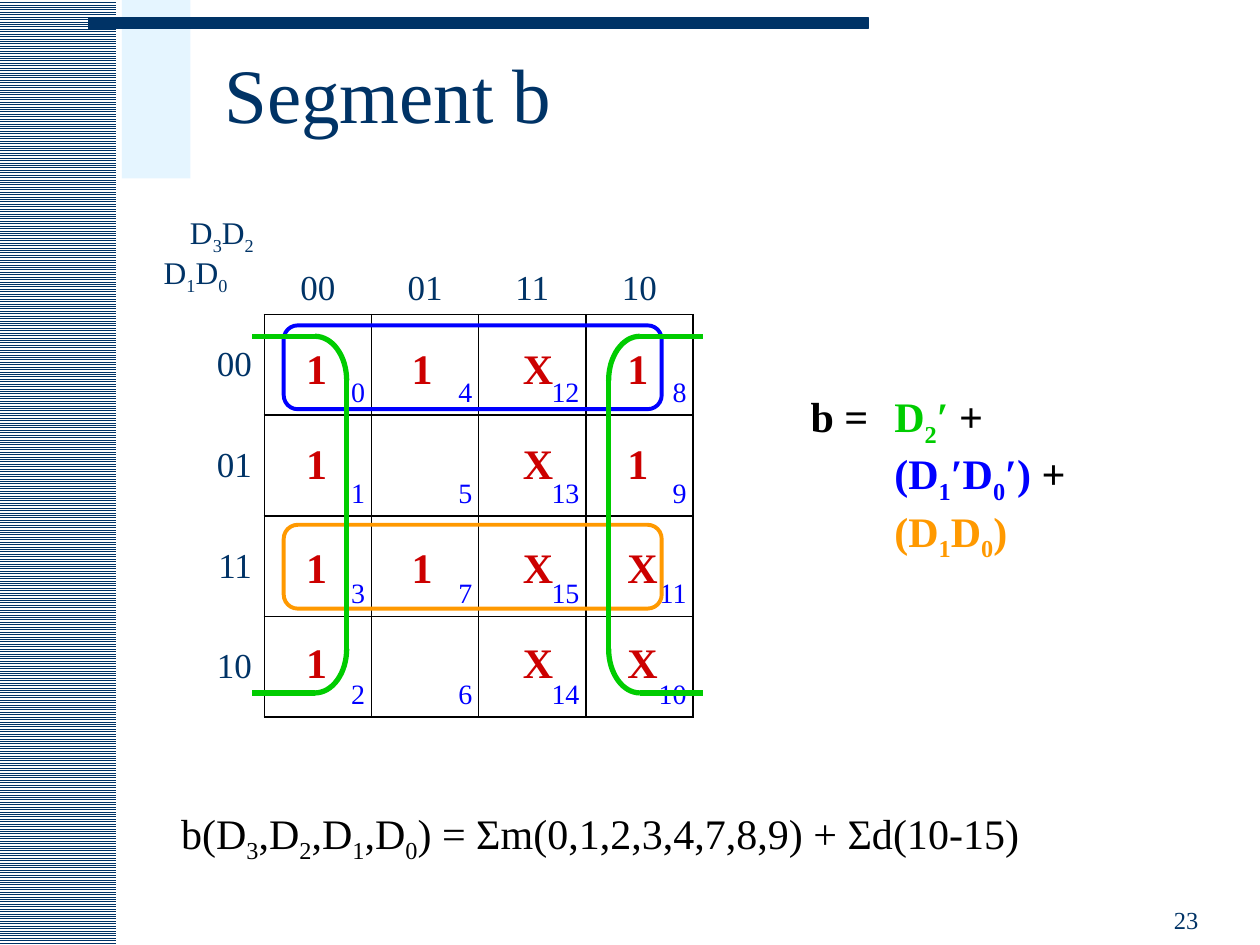
import math
from typing import NamedTuple, Optional

from lxml import etree
from pptx import Presentation
from pptx.dml.color import RGBColor
from pptx.enum.dml import MSO_PATTERN
from pptx.enum.shapes import MSO_CONNECTOR, MSO_SHAPE
from pptx.enum.text import MSO_ANCHOR, PP_ALIGN
from pptx.oxml.ns import qn
from pptx.util import Cm, Pt

RECT, ROUNDED = MSO_SHAPE.RECTANGLE, MSO_SHAPE.ROUNDED_RECTANGLE
STRAIGHT = MSO_CONNECTOR.STRAIGHT
TOP, MIDDLE, BOTTOM = MSO_ANCHOR.TOP, MSO_ANCHOR.MIDDLE, MSO_ANCHOR.BOTTOM
LEFT, CENTER, RIGHT = PP_ALIGN.LEFT, PP_ALIGN.CENTER, PP_ALIGN.RIGHT

NAVY = RGBColor(0x00, 0x33, 0x66)
PALE_BLUE = RGBColor(0xCC, 0xEC, 0xFF)
WHITE = RGBColor(0xFF, 0xFF, 0xFF)
BLACK = RGBColor(0x00, 0x00, 0x00)
BLUE = RGBColor(0x00, 0x00, 0xFF)
ORANGE = RGBColor(0xFF, 0x99, 0x00)
GREEN = RGBColor(0x00, 0xCC, 0x00)
RED = RGBColor(0xCC, 0x00, 0x00)
FONT = "Times New Roman"


class Box(NamedTuple):
    """Left, top, width and height in centimetres."""
    left: float
    top: float
    width: float
    height: float

    def lengths(self):
        return [Cm(value) for value in self]


class Piece(NamedTuple):
    """Text in one colour; the character after each _ is a subscript."""
    text: str
    color: RGBColor


class Loop(NamedTuple):
    box: Box
    color: RGBColor


class Bracket(NamedTuple):
    """Horizontal positions of one half of the wrap-around group."""
    outer: float
    bend: float
    stem: float


prs = Presentation()
prs.slide_width, prs.slide_height = Cm(25.4), Cm(19.05)
slide = prs.slides.add_slide(prs.slide_layouts[5])
shapes = slide.shapes


def add_run(paragraph, text: str, size: float, color: RGBColor,
            bold: bool = False, subscript: bool = False) -> None:
    run = paragraph.add_run()
    run.text = text
    font = run.font
    font.name, font.size, font.bold = FONT, Pt(size), bold
    font.color.rgb = color
    if subscript:
        run._r.get_or_add_rPr().set("baseline", "-25000")


def add_piece(paragraph, piece: Piece, size: float, bold: bool = False) -> None:
    first, *rest = piece.text.split("_")
    if first:
        add_run(paragraph, first, size, piece.color, bold)
    for part in rest:
        add_run(paragraph, part[0], size, piece.color, bold, subscript=True)
        if part[1:]:
            add_run(paragraph, part[1:], size, piece.color, bold)


def set_indent(paragraph, margin: float, first_line: float) -> None:
    properties = paragraph._p.get_or_add_pPr()
    properties.set("marL", str(Cm(margin)))
    properties.set("indent", str(Cm(first_line)))


def add_text_box(box: Box, wrap: bool = True, anchor=TOP, align=LEFT):
    frame = shapes.add_textbox(*box.lengths()).text_frame
    frame.word_wrap, frame.vertical_anchor = wrap, anchor
    paragraph = frame.paragraphs[0]
    paragraph.alignment = align
    return paragraph


def add_panel(box: Box, color: RGBColor):
    panel = shapes.add_shape(RECT, *box.lengths())
    panel.shadow.inherit = False
    panel.fill.solid()
    panel.fill.fore_color.rgb = color
    panel.line.fill.background()
    return panel


def add_line(x1: float, y1: float, x2: float, y2: float) -> None:
    line = shapes.add_connector(STRAIGHT, Cm(x1), Cm(y1), Cm(x2), Cm(y2))
    line.line.color.rgb, line.line.width = GREEN, Pt(3)
    etree.SubElement(line._element.spPr, qn("a:effectLst"))


def add_corner(bracket: Bracket, edge: float, joint: float) -> None:
    steps = 16
    points = []
    for step in range(steps + 1):
        angle = math.pi / 2 * step / steps
        points.append((Cm(bracket.bend + (bracket.stem - bracket.bend) * math.cos(angle)),
                       Cm(joint + (edge - joint) * math.sin(angle))))
    builder = shapes.build_freeform(*points[0])
    builder.add_line_segments(points[1:], close=False)
    corner = builder.convert_to_shape()
    corner.shadow.inherit = False
    corner.fill.background()
    corner.line.color.rgb, corner.line.width = GREEN, Pt(3)


def set_borders(cell, sides: str) -> None:
    properties = cell._tc.get_or_add_tcPr()
    for position, side in enumerate("LRTB"):
        border = etree.Element(qn(f"a:ln{side}"), w=str(Pt(1)))
        if side in sides:
            fill = etree.SubElement(border, qn("a:solidFill"))
            etree.SubElement(fill, qn("a:srgbClr"), val=str(BLACK))
        else:
            etree.SubElement(border, qn("a:noFill"))
        properties.insert(position, border)


def format_cell(cell, anchor, align, sides: str, right: float = 0.13):
    cell.margin_left = cell.margin_top = cell.margin_bottom = Cm(0.13)
    cell.margin_right = Cm(right)
    cell.vertical_anchor = anchor
    cell.fill.background()
    set_borders(cell, sides)
    paragraph = cell.text_frame.paragraphs[0]
    paragraph.alignment = align
    return paragraph


# Background decoration
stripes = add_panel(Box(0, 0, 2.34, 19.05), NAVY)
stripes.fill.patterned()
stripes.fill.pattern = MSO_PATTERN.LIGHT_HORIZONTAL
stripes.fill.fore_color.rgb, stripes.fill.back_color.rgb = NAVY, WHITE
pale_block = add_panel(Box(2.46, 0, 1.38, 3.6), PALE_BLUE)
pale_color = pale_block._element.spPr.find(qn("a:solidFill"))[0]
etree.SubElement(pale_color, qn("a:alpha"), val="50000")
top_bar = add_panel(Box(1.78, 0.35, 15.72, 0.23), NAVY)
top_bar.line.color.rgb, top_bar.line.width = NAVY, Pt(0.75)

# Slide number and title
page_number = add_text_box(Box(18.31, 17.7, 6.1, 1.27), anchor=BOTTOM, align=RIGHT)
add_run(page_number, "23", 14, NAVY)
title = shapes.title
title.left, title.top, title.width, title.height = Box(4.27, 0.43, 20.5, 3.18).lengths()
title.text_frame.vertical_anchor = MIDDLE
heading = title.text_frame.paragraphs[0]
heading.alignment, heading.line_spacing = LEFT, 0.85
add_run(heading, "Segment b", 44, NAVY)

# Karnaugh map: labels and minterm numbers follow the Gray code
GRAY = (0, 1, 3, 2)
karnaugh = shapes.add_table(5, 5, *Box(3.17, 4.23, 10.8, 10.23).lengths()).table
karnaugh.first_row = karnaugh.horz_banding = False
for column in karnaugh.columns:
    column.width = Cm(2.16)
for index, row in enumerate(karnaugh.rows):
    row.height = Cm(2.03 if index else 2.11)

variables = format_cell(karnaugh.cell(0, 0), TOP, LEFT, "")
set_indent(variables, 0, 0.53)
add_piece(variables, Piece("D_3D_2", NAVY), 18)
variables.add_line_break()
add_piece(variables, Piece("D_1D_0", NAVY), 18)

for i, code in enumerate(GRAY, start=1):
    add_run(format_cell(karnaugh.cell(0, i), BOTTOM, CENTER, "B"), f"{code:02b}", 20, NAVY)
    add_run(format_cell(karnaugh.cell(i, 0), MIDDLE, RIGHT, "R", 0.25), f"{code:02b}", 20, NAVY)
    for j, high_bits in enumerate(GRAY, start=1):
        minterm = format_cell(karnaugh.cell(i, j), BOTTOM, RIGHT, "LRTB")
        add_run(minterm, str(4 * high_bits + code), 16, BLUE)

# Function as a sum of minterms
minterm_sum = add_text_box(Box(3.4, 15.57, 17.73, 1.6))
minterm_sum.line_spacing = 1.5
add_piece(minterm_sum, Piece("b(D_3,D_2,D_1,D_0) = Σm(0,1,2,3,4,7,8,9) + Σd(10-15)", BLACK), 24)

# Ones and don't-cares
MARK_LEFTS = (5.92, 8.05, 10.29, 12.4)
MARKS = {6.78: "11X1", 8.69: "1 X1", 10.8: "11XX", 12.7: "1 XX"}
for mark_top, marks in MARKS.items():
    for mark_left, mark in zip(MARK_LEFTS, marks):
        if mark != " ":
            mark_width = 1.14 if mark == "X" else 0.94
            cell_mark = add_text_box(Box(mark_left, mark_top, mark_width, 1.28), wrap=False)
            add_run(cell_mark, mark, 24, RED, bold=True)

# Row groups
for loop in (Loop(Box(5.72, 6.56, 7.62, 1.69), BLUE), Loop(Box(5.72, 10.58, 7.62, 1.69), ORANGE)):
    outline = shapes.add_shape(ROUNDED, *loop.box.lengths())
    outline.adjustments[0] = 0.167
    outline.shadow.inherit = False
    outline.fill.background()
    outline.line.color.rgb, outline.line.width = loop.color, Pt(2.25)

# Simplified expression, None marks a line break
EXPRESSION: tuple[Optional[Piece], ...] = (
    Piece("b =\t", BLACK), Piece("D_2′", GREEN), Piece(" +", BLACK), None,
    Piece("(D_1′D_0′) ", BLUE), Piece("+", BLACK), None, Piece("(D_1D_0)", ORANGE))
expression = add_text_box(Box(15.24, 7.75, 6.65, 3.33))
set_indent(expression, 2.54, -1.69)
for term in EXPRESSION:
    if term:
        add_piece(expression, term, 24, bold=True)
    else:
        expression.add_line_break()

# Wrap-around group of the outer columns
UPPER_JOINT, LOWER_JOINT = 7.67, 13.08
for bracket in (Bracket(14.17, 12.9, 12.27), Bracket(5.08, 6.35, 6.99)):
    for edge, joint in ((6.78, UPPER_JOINT), (13.97, LOWER_JOINT)):
        add_corner(bracket, edge, joint)
        add_line(bracket.bend, edge, bracket.outer, edge)
    add_line(bracket.stem, UPPER_JOINT, bracket.stem, LOWER_JOINT)

prs.save("out.pptx")
